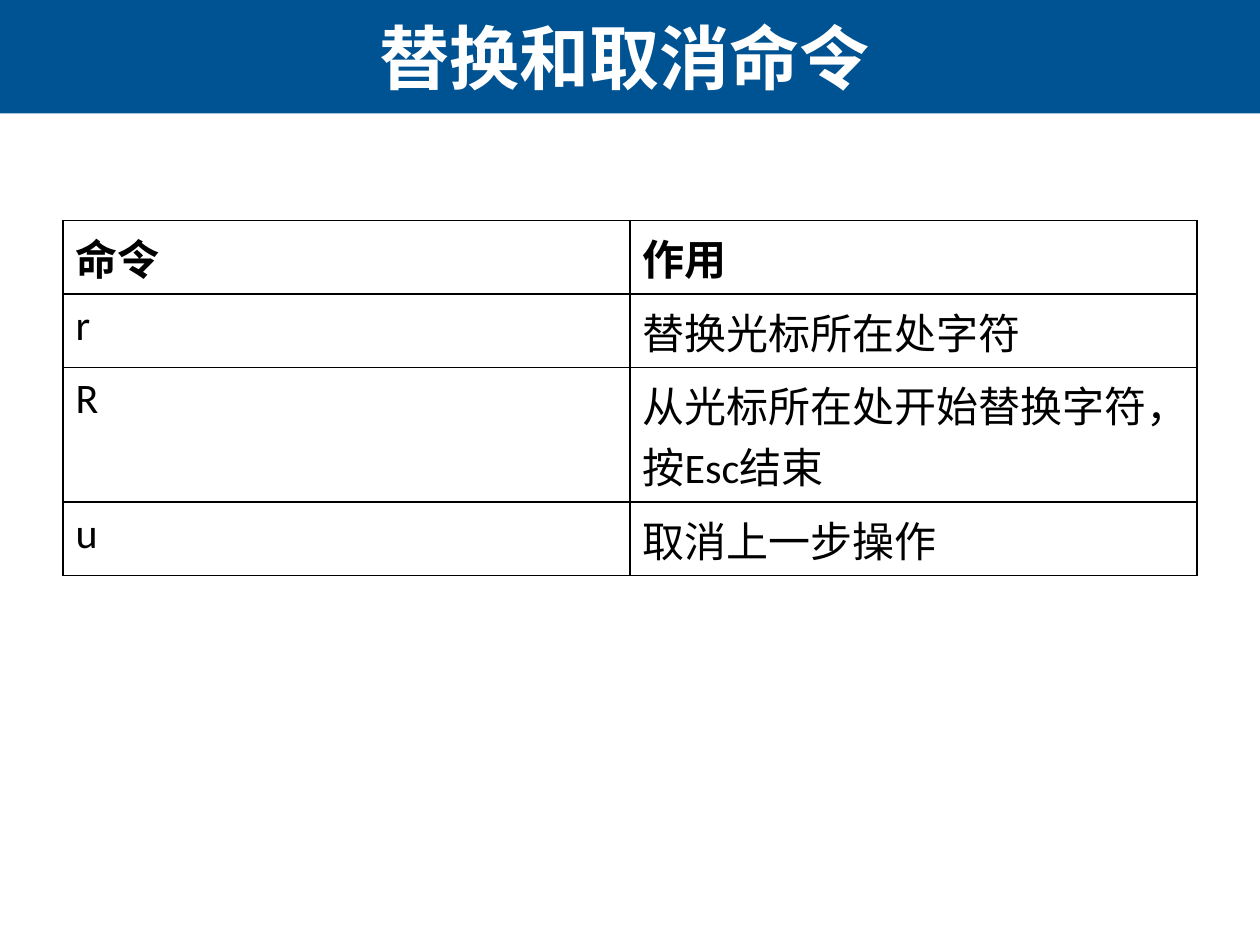
from lxml import etree
from pptx import Presentation
from pptx import util as u
from pptx.dml.color import RGBColor
from pptx.enum import shapes, text
from pptx.oxml import ns

TITLE = "替换和取消命令"
ROWS = [
    ("命令", "作用"),
    ("r", "替换光标所在处字符"),
    ("R", "从光标所在处开始替换字符，按Esc结束"),
    ("u", "取消上一步操作"),
]
COLORS = {"banner": "005392", "title": "FFFFFF", "ink": "000000"}
SLIDE_WIDTH, SLIDE_HEIGHT = 720, 540
BANNER_HEIGHT = 64.8
TABLE_LEFT, TABLE_TOP, TABLE_HEIGHT = 36, 126, 172.8
HEADER_HEIGHT, BODY_HEIGHT = 31, 29.5
BORDER_WIDTH = 1


def color(name):
    return RGBColor.from_string(COLORS[name])


def format_text(frame, size, font, ink, bold):
    for paragraph in frame.paragraphs:
        for run in paragraph.runs:
            run.font.size = u.Pt(size)
            run.font.name = font
            run.font.bold = bold
            run.font.color.rgb = color(ink)


def add_borders(cell):
    properties = cell._tc.get_or_add_tcPr()
    for side in ("a:lnL", "a:lnR", "a:lnT", "a:lnB"):
        line = etree.SubElement(properties, ns.qn(side), w=str(u.Pt(BORDER_WIDTH)))
        fill = etree.SubElement(line, ns.qn("a:solidFill"))
        etree.SubElement(fill, ns.qn("a:srgbClr"), val=COLORS["ink"])


def add_banner(slide):
    banner = slide.shapes.add_shape(
        shapes.MSO_SHAPE.RECTANGLE, 0, 0, u.Pt(SLIDE_WIDTH), u.Pt(BANNER_HEIGHT))
    banner.shadow.inherit = False
    banner.fill.solid()
    banner.fill.fore_color.rgb = color("banner")
    banner.line.fill.background()


def add_table(slide):
    width = SLIDE_WIDTH - 2 * TABLE_LEFT
    shape = slide.shapes.add_table(
        len(ROWS), len(ROWS[0]), u.Pt(TABLE_LEFT), u.Pt(TABLE_TOP),
        u.Pt(width), u.Pt(TABLE_HEIGHT))
    table = shape.table
    table.horz_banding = False
    for row_index, values in enumerate(ROWS):
        is_header = row_index == 0
        table.rows[row_index].height = u.Pt(HEADER_HEIGHT if is_header else BODY_HEIGHT)
        for column_index, value in enumerate(values):
            cell = table.cell(row_index, column_index)
            cell.text_frame.text = value
            format_text(cell.text_frame, 24, "Calibri", "ink", is_header)
            add_borders(cell)
            cell.fill.background()
    shape.height = u.Pt(TABLE_HEIGHT)


def add_title(slide):
    title = slide.shapes.add_textbox(u.Pt(1.44), 0, u.Pt(710.64), u.Pt(BANNER_HEIGHT))
    frame = title.text_frame
    frame.word_wrap = True
    frame.vertical_anchor = text.MSO_ANCHOR.MIDDLE
    frame.text = TITLE
    frame.paragraphs[0].alignment = text.PP_ALIGN.CENTER
    format_text(frame, 40, "Arial", "title", True)


def main():
    presentation = Presentation()
    presentation.slide_width = u.Pt(SLIDE_WIDTH)
    presentation.slide_height = u.Pt(SLIDE_HEIGHT)
    slide = presentation.slides.add_slide(presentation.slide_layouts[6])
    add_banner(slide)
    add_table(slide)
    add_title(slide)
    presentation.save("out.pptx")


if __name__ == "__main__":
    main()
